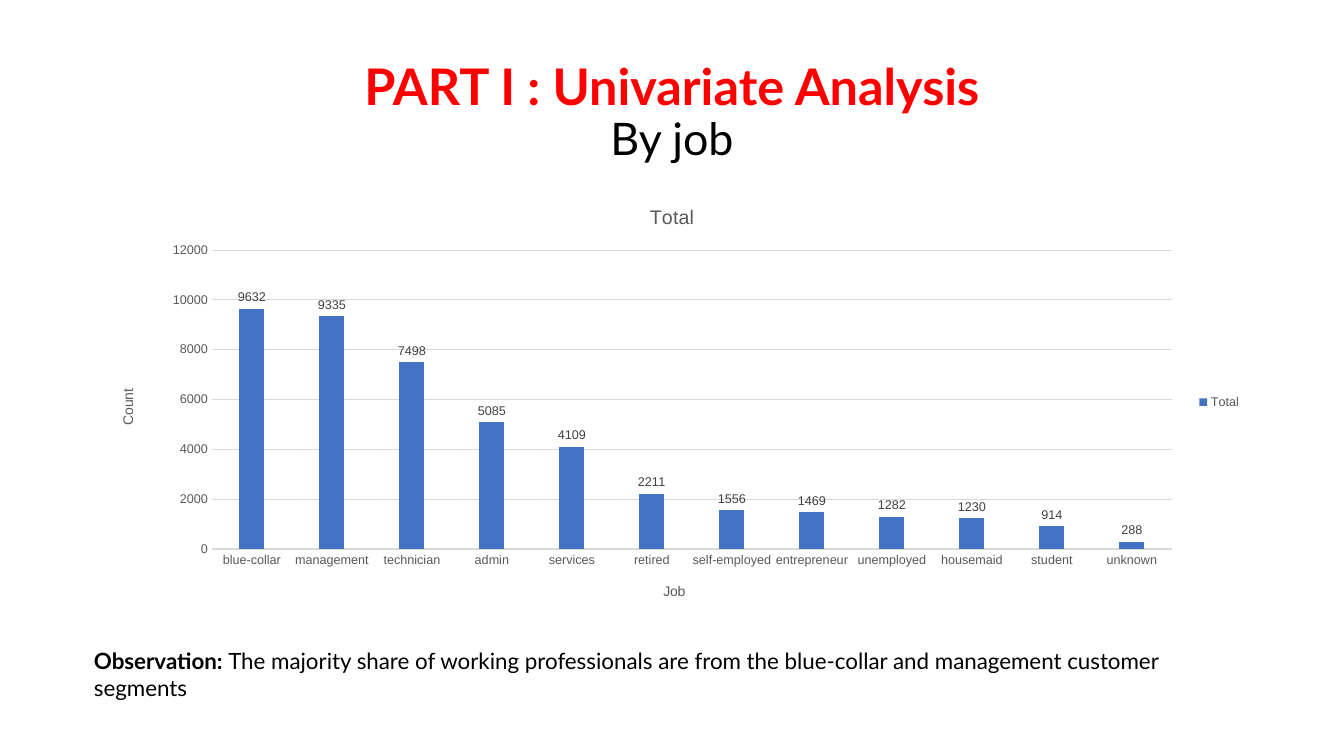
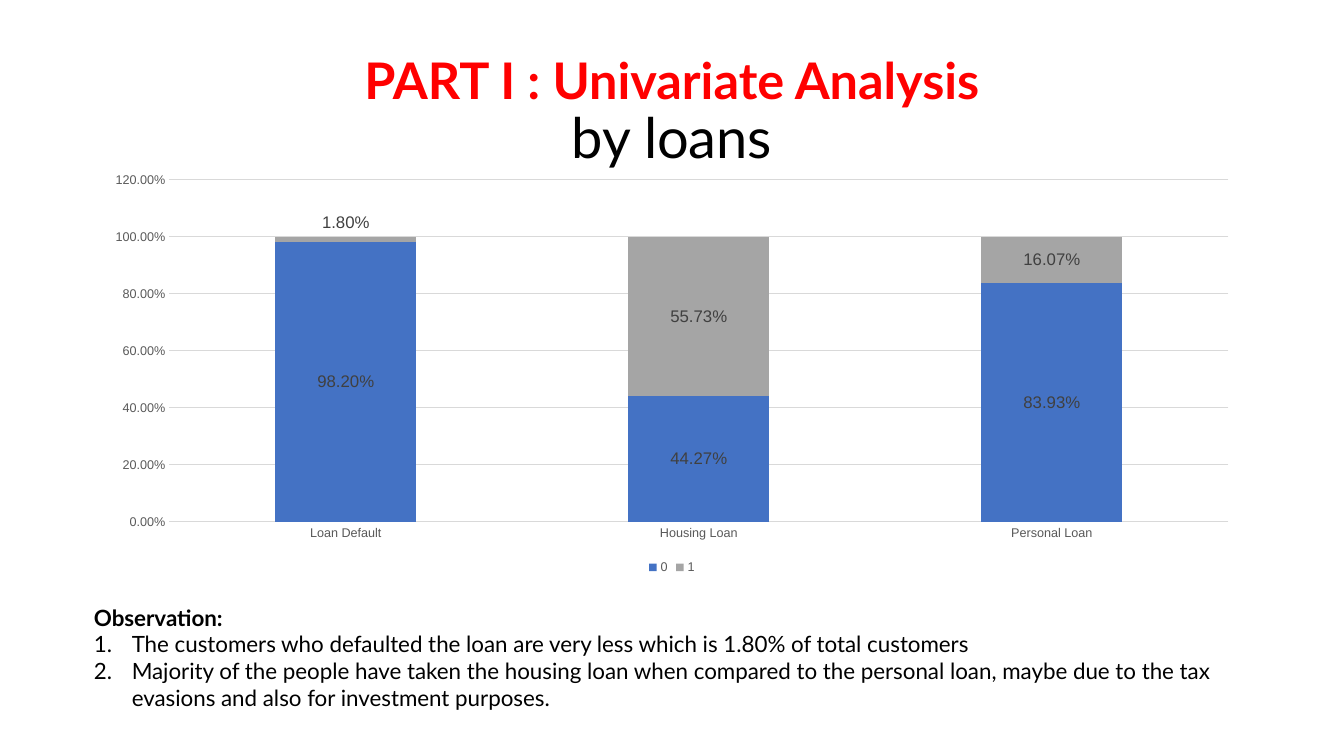
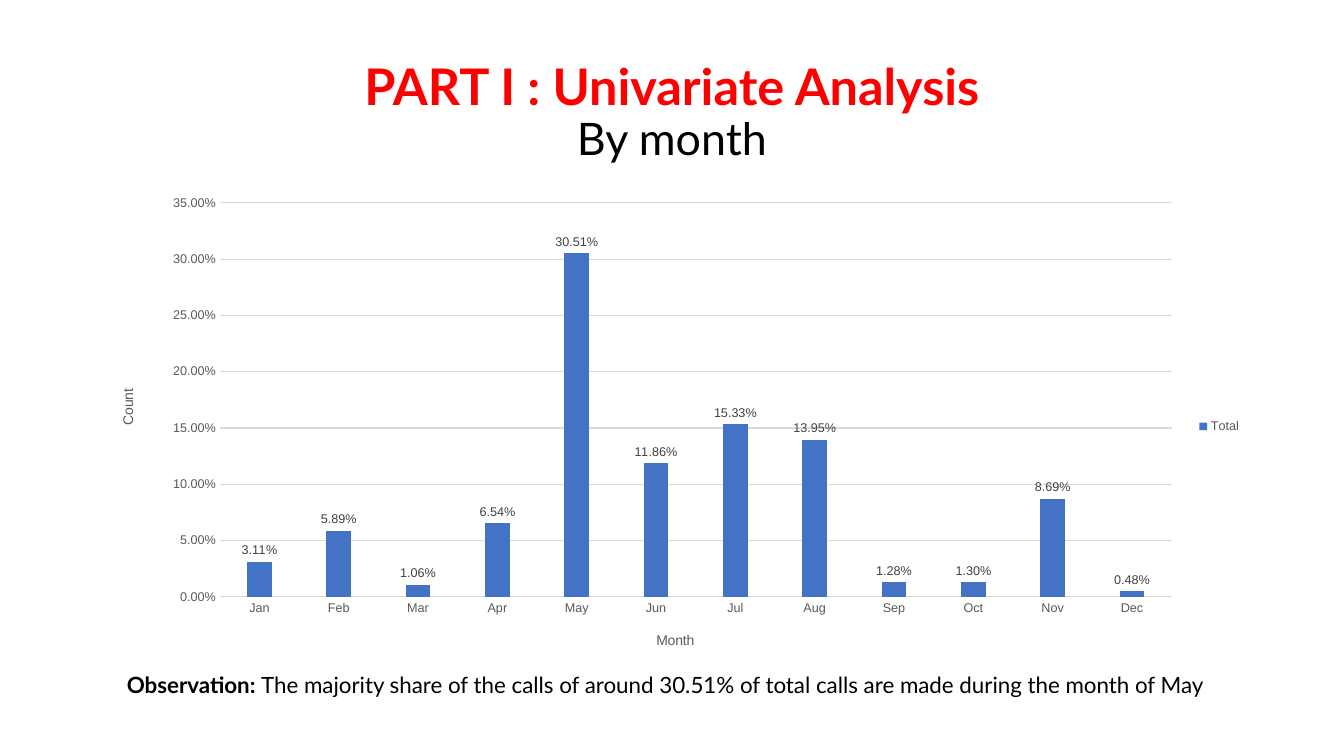
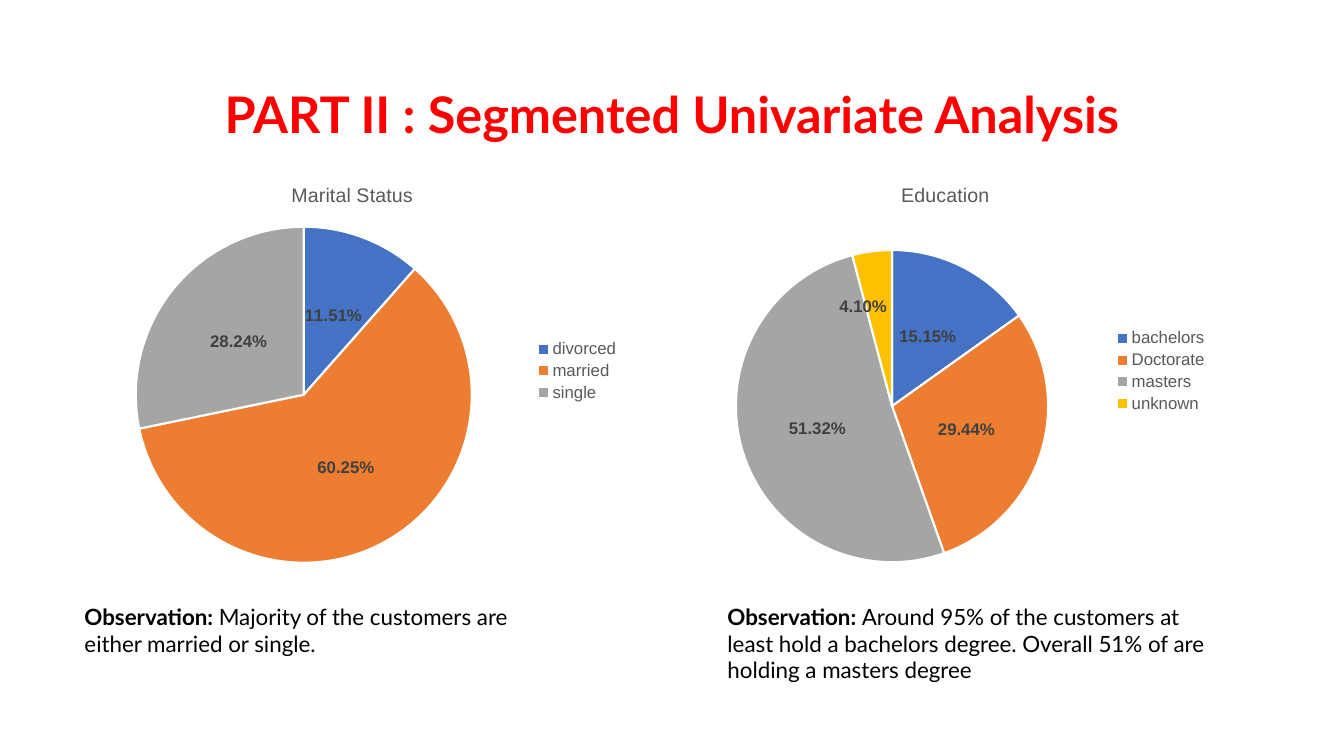
from copy import deepcopy

from pptx import Presentation
from pptx.chart.data import CategoryChartData
from pptx.dml.color import RGBColor
from pptx.enum.chart import XL_CHART_TYPE, XL_LABEL_POSITION, XL_LEGEND_POSITION, XL_TICK_MARK
from pptx.enum.text import MSO_ANCHOR, MSO_AUTO_SIZE, PP_ALIGN
from pptx.oxml import parse_xml
from pptx.oxml.ns import nsdecls, qn
from pptx.util import Pt

CLUSTERED = XL_CHART_TYPE.COLUMN_CLUSTERED
STACKED = XL_CHART_TYPE.COLUMN_STACKED
PIE = XL_CHART_TYPE.PIE
CENTER_LABEL = XL_LABEL_POSITION.CENTER
OUTSIDE_LABEL = XL_LABEL_POSITION.OUTSIDE_END
LEGEND_RIGHT = XL_LEGEND_POSITION.RIGHT
LEGEND_BOTTOM = XL_LEGEND_POSITION.BOTTOM
NO_TICK = XL_TICK_MARK.NONE
MIDDLE = MSO_ANCHOR.MIDDLE
NO_FIT = MSO_AUTO_SIZE.NONE
GROW = MSO_AUTO_SIZE.SHAPE_TO_FIT_TEXT
CENTERED = PP_ALIGN.CENTER

RED, BLACK, WHITE = "FF0000", "000000", "FFFFFF"
GRAY, DARK, GRID = "595959", "404040", "D9D9D9"
BLUE, ORANGE, SILVER, GOLD = "4472C4", "ED7D31", "A5A5A5", "FFC000"
TEXT_FONT, CHART_FONT = "Lato", "Arial"
PERCENT = "0.00%"
PART_ONE = "PART I : Univariate Analysis"
TITLE_BOTTOM = 133.2
CHART_LEFT, CHART_WIDTH = 66, 828


def rgb(hex_color):
    return RGBColor.from_string(hex_color)


def style_font(font, name, size, color, bold=False):
    font.name, font.size, font.bold = name, Pt(size), bold
    font.color.rgb = rgb(color)


def set_layout(parent, index, ratios, edge=True, inner=False):
    current = parent.find(qn("c:layout"))
    if current is not None:
        parent.remove(current)
    keys = "xywh"[:len(ratios)]
    target = '<c:layoutTarget val="inner"/>' if inner else ""
    modes = "".join(f'<c:{key}Mode val="edge"/>' for key in keys[:2]) if edge else ""
    values = "".join(f'<c:{key} val="{ratio}"/>' for key, ratio in zip(keys, ratios))
    parent.insert(index, parse_xml(
        f'<c:layout {nsdecls("c")}><c:manualLayout>{target}{modes}{values}</c:manualLayout></c:layout>'))


class Deck:
    """Holds the shared style and the current slide."""

    def __init__(self):
        self.presentation = Presentation()
        self.presentation.slide_width, self.presentation.slide_height = Pt(960), Pt(540)
        self.slide = None

    def add_slide(self, heading, subheading="", subheading_size=32, top=28.8):
        self.slide = self.presentation.slides.add_slide(self.presentation.slide_layouts[5])
        title = self.slide.shapes.title
        title.left, title.top = Pt(CHART_LEFT), Pt(top)
        title.width, title.height = Pt(CHART_WIDTH), Pt(TITLE_BOTTOM - top)
        frame = title.text_frame
        frame.word_wrap, frame.auto_size, frame.vertical_anchor = True, NO_FIT, MIDDLE
        paragraph = frame.paragraphs[0]
        paragraph.alignment, paragraph.line_spacing = CENTERED, 0.9
        run = self.add_run(paragraph, heading, 36, RED, True)
        if subheading:
            paragraph.add_line_break()
            paragraph._p[-1].append(deepcopy(run._r.rPr))
            self.add_run(paragraph, subheading, subheading_size)

    def add_run(self, paragraph, text, size=16, color=BLACK, bold=False):
        run = paragraph.add_run()
        run.text = text
        style_font(run.font, TEXT_FONT, size, color, bold)
        return run

    def add_observation(self, left, top, width, height, text="", points=()):
        box = self.slide.shapes.add_textbox(Pt(left), Pt(top), Pt(width), Pt(height))
        frame = box.text_frame
        frame.word_wrap, frame.auto_size = True, GROW
        lead = frame.paragraphs[0]
        self.add_run(lead, "Observation: " if text else "Observation:", bold=True)
        if text:
            self.add_run(lead, text)
        for point in points:
            paragraph = frame.add_paragraph()
            self.add_run(paragraph, point)
            properties = paragraph._p.get_or_add_pPr()
            properties.set("marL", str(Pt(27)))
            properties.set("indent", str(-Pt(27)))
            properties.append(parse_xml(
                f'<a:buClr {nsdecls("a")}><a:srgbClr val="{BLACK}"/></a:buClr>'))
            properties.append(parse_xml(f'<a:buAutoNum {nsdecls("a")} type="arabicPeriod"/>'))

    def add_chart(self, kind, bounds, categories, series, legend, legend_size=9, title="", plot=None):
        data = CategoryChartData()
        data.categories = categories
        for name, values in series:
            data.add_series(name, values)
        chart = self.slide.shapes.add_chart(kind, *map(Pt, bounds), data).chart
        style_font(chart.font, CHART_FONT, 10, BLACK)
        chart.has_title = bool(title)
        if title:
            self.write_chart_title(chart.chart_title, title, 14)
        chart.has_legend = True
        chart.legend.position, chart.legend.include_in_layout = legend, False
        style_font(chart.legend.font, CHART_FONT, legend_size, GRAY)
        if plot:
            set_layout(chart._chartSpace.chart.plotArea, 0, self.ratios(plot, bounds), inner=True)
        return chart

    def ratios(self, frame, bounds):
        left, top, width, height = bounds
        x, y, *size = frame
        return [(x - left) / width, (y - top) / height,
                *(part / whole for part, whole in zip(size, (width, height)))]

    def write_chart_title(self, title, text, size):
        run = title.text_frame.paragraphs[0].add_run()
        run.text = text
        style_font(run.font, CHART_FONT, size, GRAY)

    def add_axis_title(self, axis, text, position, bounds, rotation=0):
        title = axis.axis_title
        self.write_chart_title(title, text, 10)
        body = title.text_frame._txBody.bodyPr
        body.set("rot", str(rotation * 60000))
        body.set("vert", "horz")
        set_layout(title._element, 1, self.ratios(position, bounds))

    def add_labels(self, series, position, number_format, size, bold=False):
        labels = series.data_labels
        labels.show_value, labels.position = True, position
        labels.number_format, labels.number_format_is_linked = number_format, False
        style_font(labels.font, CHART_FONT, size, DARK, bold)
        leader = labels._element.find(qn("c:showLeaderLines"))
        if leader is not None:
            leader.set("val", "0")

    def move_label(self, series, index, offset, bounds):
        labels = series.data_labels._element
        label = parse_xml(f'<c:dLbl {nsdecls("c")}><c:idx val="{index}"/></c:dLbl>')
        for part in labels:
            if part.tag != qn("c:showLeaderLines"):
                label.append(deepcopy(part))
        set_layout(label, 1, [shift / whole for shift, whole in zip(offset, bounds[2:])], edge=False)
        labels.insert(0, label)

    def add_columns(self, kind, bounds, categories, series, number_format, maximum, legend,
                    gap, overlap, label_position, label_size, title="", plot=None):
        chart = self.add_chart(kind, bounds, categories, series, legend, title=title, plot=plot)
        columns = chart.plots[0]
        columns.gap_width, columns.overlap, columns.vary_by_categories = gap, overlap, False
        for part, color in zip(columns.series, (BLUE, SILVER)):
            part.format.fill.solid()
            part.format.fill.fore_color.rgb = rgb(color)
            part.invert_if_negative = False
            self.add_labels(part, label_position, number_format, label_size)
        for axis in (chart.category_axis, chart.value_axis):
            axis.major_tick_mark = axis.minor_tick_mark = NO_TICK
            style_font(axis.tick_labels.font, CHART_FONT, 9, GRAY)
        values = chart.value_axis
        values.minimum_scale, values.maximum_scale = 0, maximum
        values.tick_labels.number_format = number_format
        values.tick_labels.number_format_is_linked = False
        values.format.line.fill.background()
        for line in (chart.category_axis.format.line, values.major_gridlines.format.line):
            line.color.rgb, line.width = rgb(GRID), Pt(0.75)
        return chart

    def add_count_columns(self, height, categories, counts, number_format, maximum, plot,
                          axis_name, axis_name_position, title=""):
        bounds = (CHART_LEFT, TITLE_BOTTOM, CHART_WIDTH, height)
        chart = self.add_columns(CLUSTERED, bounds, categories, [("Total", counts)], number_format,
                                 maximum, LEGEND_RIGHT, 219, -27, OUTSIDE_LABEL, 9, title, plot)
        self.add_axis_title(chart.category_axis, axis_name, axis_name_position, bounds)
        self.add_axis_title(chart.value_axis, "Count", (83, 276), bounds, -90)

    def add_pie(self, title, left, width, shares, plot, moved=None):
        bounds = (left, 118, width, 294)
        chart = self.add_chart(PIE, bounds, list(shares), [("Series 1", list(shares.values()))],
                               LEGEND_RIGHT, 12, title, plot)
        pie = chart.plots[0]
        pie.vary_by_categories = True
        slices = pie.series[0]
        for index, color in zip(range(len(shares)), (BLUE, ORANGE, SILVER, GOLD)):
            segment = slices.points[index].format
            segment.fill.solid()
            segment.fill.fore_color.rgb = rgb(color)
            segment.line.color.rgb, segment.line.width = rgb(WHITE), Pt(1.5)
        self.add_labels(slices, CENTER_LABEL, '0.00"%"', 12, True)
        if moved:
            self.move_label(slices, *moved, bounds)


def main():
    deck = Deck()

    deck.add_slide(PART_ONE, "By job")
    deck.add_observation(60, 458.6, 841, 46, "The majority share of working professionals are from "
                         "the blue-collar and management customer segments")
    jobs = {"blue-collar": 9632, "management": 9335, "technician": 7498, "admin": 5085,
            "services": 4109, "retired": 2211, "self-employed": 1556, "entrepreneur": 1469,
            "unemployed": 1282, "housemaid": 1230, "student": 914, "unknown": 288}
    deck.add_count_columns(308, list(jobs), list(jobs.values()), "General", 12000,
                           (151.4, 178.6, 685.7, 213.6), "Job", (472, 414), "Total")

    deck.add_slide(PART_ONE, "by loans", 40)
    deck.add_observation(60, 427.7, 841, 85, points=(
        "The customers who defaulted the loan are very less which is 1.80% of total customers",
        "Majority of the people have taken the housing loan when compared to the personal loan, "
        "maybe due to the tax evasions and also for investment purposes."))
    loan_bounds = (CHART_LEFT, 117.4, CHART_WIDTH, 296)
    loans = deck.add_columns(
        STACKED, loan_bounds, ["Loan Default", "Housing Loan", "Personal Loan"],
        [("0", (0.982, 0.4427, 0.8393)), ("1", (0.018, 0.5573, 0.1607))],
        PERCENT, 1.2, LEGEND_BOTTOM, 150, 100, CENTER_LABEL, 12)
    deck.move_label(loans.plots[0].series[1], 0, (0, -12), loan_bounds)

    deck.add_slide(PART_ONE, "By month")
    deck.add_observation(83.5, 476, 841, 27, "The majority share of the calls of around 30.51% "
                         "of total calls are made during the month of May")
    months = ["Jan", "Feb", "Mar", "Apr", "May", "Jun", "Jul", "Aug", "Sep", "Oct", "Nov", "Dec"]
    calls = (0.0311, 0.0589, 0.0106, 0.0654, 0.3051, 0.1186,
             0.1533, 0.1395, 0.0128, 0.013, 0.0869, 0.0048)
    deck.add_count_columns(342.7, months, calls, PERCENT, 0.35,
                           (157, 145, 680, 281.4), "Month", (467, 449))

    deck.add_slide("PART II : Segmented Univariate Analysis", top=34.6)
    deck.add_observation(53.3, 427, 357, 46,
                         "Majority of the customers are either married or single.")
    deck.add_observation(512.6, 427, 357, 65.5, "Around 95% of the customers at least hold a "
                         "bachelors degree. Overall 51% of are holding a masters degree")
    deck.add_pie("Education", 480.2, 390.2,
                 {"bachelors": 15.15, "Doctorate": 29.44, "masters": 51.32, "unknown": 4.1},
                 (525.7, 178.6, 223, 223), (3, (-13.5, -16)))
    deck.add_pie("Marital Status", 53.3, 396.7,
                 {"divorced": 11.51, "married": 60.25, "single": 28.24}, (97, 162, 240, 240))

    deck.presentation.save("out.pptx")


if __name__ == "__main__":
    main()
